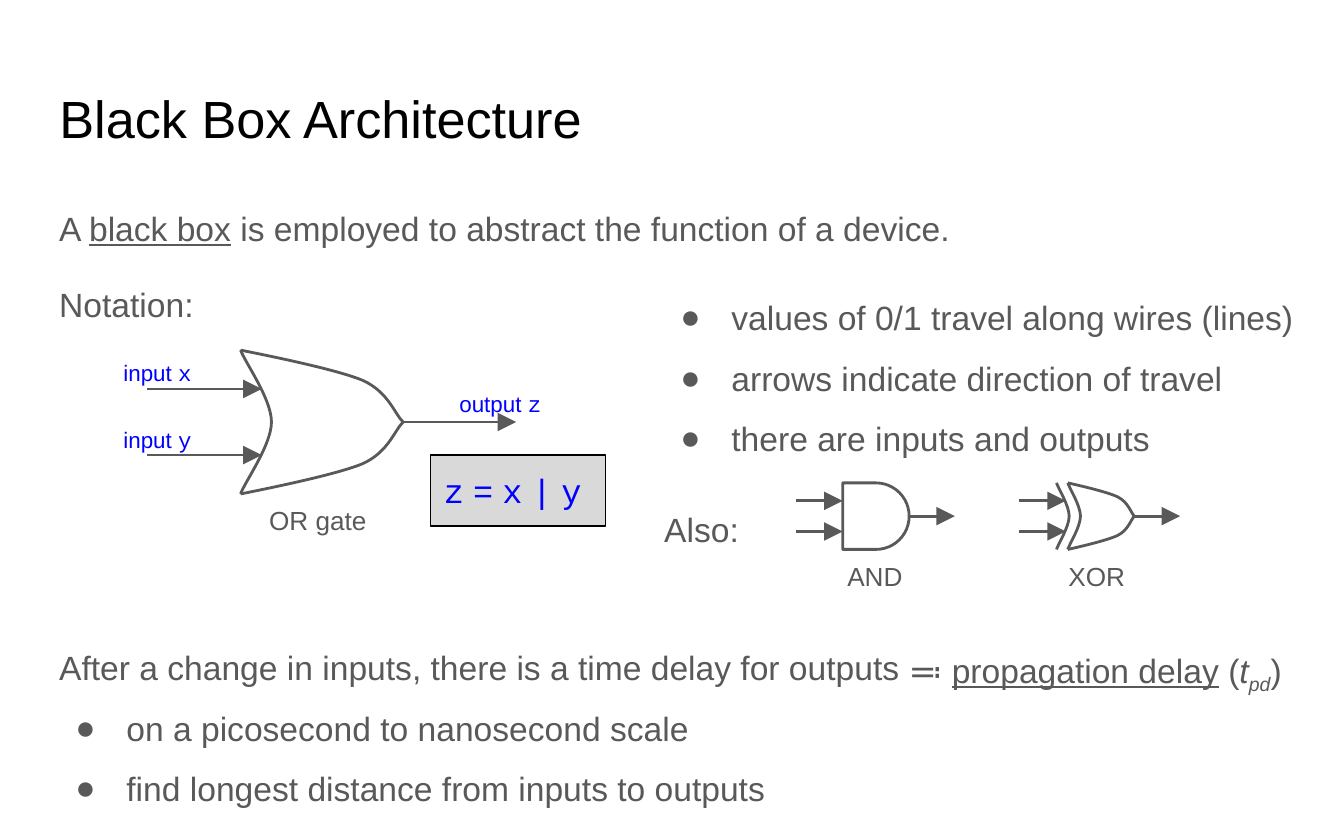
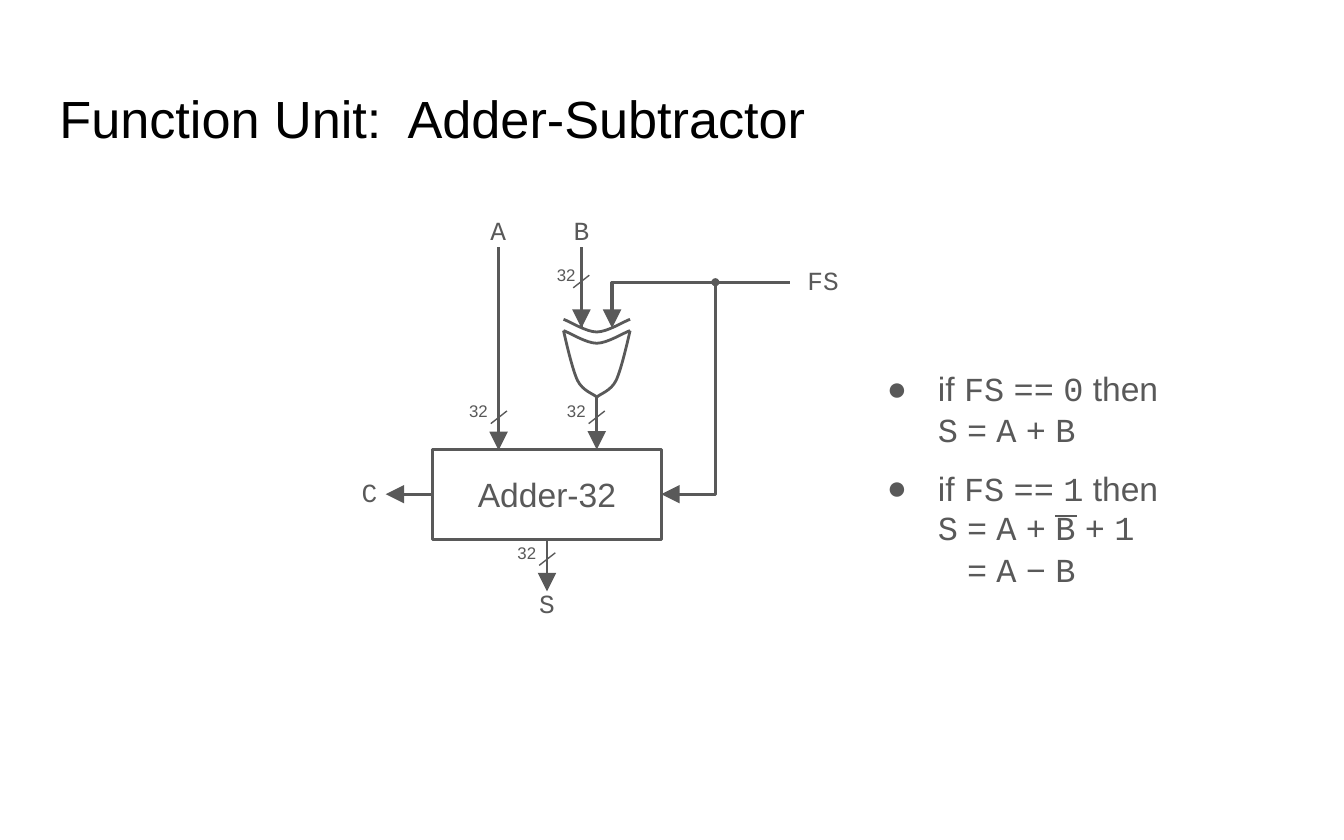
from dataclasses import dataclass
from enum import Enum

import pptx
import pptx.dml.color
import pptx.enum.shapes
import pptx.enum.text
import pptx.oxml
import pptx.oxml.ns
import pptx.util
from lxml import etree

COLUMNS, ROWS = 100, 62.5
CELL = pptx.util.Inches(0.1)
Shapes = pptx.enum.shapes.MSO_SHAPE
Align = pptx.enum.text.PP_ALIGN
Anchor = pptx.enum.text.MSO_ANCHOR
qualified = pptx.oxml.ns.qn
Point = tuple[float, float]


@dataclass(frozen=True)
class Theme:
    ink: str = "595959"
    black: str = "000000"
    blue: str = "0000FF"
    panel: str = "D9D9D9"
    sans: str = "Arial"
    mono: str = "Courier New"
    title: float = 28
    body: float = 18
    caption: float = 14
    pin: float = 12
    bus: float = 9
    stroke: float = 1.5
    thin: float = 0.75


THEME = Theme()


@dataclass(frozen=True)
class Box:
    left: float
    top: float
    width: float
    height: float


@dataclass(frozen=True)
class Span:
    text: str
    mono: bool = False
    underline: bool = False
    italic: bool = False
    subscript: bool = False


@dataclass(frozen=True)
class Para:
    spans: tuple[Span, ...]
    size: float = THEME.body
    color: str = THEME.ink
    align: Align = Align.LEFT
    spacing: float = 1.0
    after: float = 0
    margin: float = 0
    first: float = 0
    bullet: bool = False


class Kind(Enum):
    AND = "AND"
    OR = "OR"
    XOR = "XOR"


@dataclass(frozen=True)
class Gate:
    kind: Kind
    box: Box
    tip: float
    lead_in: float
    lead_out: float
    down: bool = False

    def place(self, along: float, across: float) -> Point:
        box = self.box
        if self.down:
            return box.left + across * box.height, box.top + along * box.width
        return box.left + along * box.width, box.top + across * box.height


@dataclass(frozen=True)
class Bus:
    x: float
    y: float
    offset: float = 3.2


def cells(value: float) -> int:
    return round(value * CELL)


def rgb(color: str) -> pptx.dml.color.RGBColor:
    return pptx.dml.color.RGBColor.from_string(color)


def plain(text: str, **style) -> Para:
    return Para((Span(text),), **style)


def code(text: str) -> tuple[Span, ...]:
    first, *rest = text.split(" ")
    spans = [Span(first, mono=True)]
    for word in rest:
        spans += [Span(" "), Span(word, mono=True)]
    return tuple(spans)


def bullet(*spans: Span, **style) -> Para:
    return Para(spans, margin=5, first=-3.8, bullet=True, **style)


def add_bullet(paragraph) -> None:
    properties = paragraph._p.get_or_add_pPr()
    fill = etree.SubElement(properties, qualified("a:buClr"))
    etree.SubElement(fill, qualified("a:srgbClr"), val=THEME.ink)
    etree.SubElement(properties, qualified("a:buFont"), typeface=THEME.sans)
    etree.SubElement(properties, qualified("a:buChar"), char="●")


def write(frame, paras: tuple[Para, ...], anchor: Anchor = Anchor.TOP) -> None:
    frame.word_wrap = True
    frame.auto_size = pptx.enum.text.MSO_AUTO_SIZE.NONE
    frame.vertical_anchor = anchor
    frame.margin_left = frame.margin_right = CELL
    frame.margin_top = frame.margin_bottom = CELL
    for index, para in enumerate(paras):
        paragraph = frame.add_paragraph() if index else frame.paragraphs[0]
        paragraph.alignment = para.align
        paragraph.line_spacing = para.spacing
        paragraph.space_after = pptx.util.Pt(para.after)
        properties = paragraph._p.get_or_add_pPr()
        properties.set("marL", str(cells(para.margin)))
        properties.set("indent", str(cells(para.first)))
        if para.bullet:
            add_bullet(paragraph)
        paragraph.font.size = pptx.util.Pt(para.size)
        paragraph.font.color.rgb = rgb(para.color)
        mixed = len({span.mono for span in para.spans}) > 1
        if not mixed:
            paragraph.font.name = THEME.mono if para.spans[0].mono else THEME.sans
        for span in para.spans:
            run = paragraph.add_run()
            run.text = span.text
            if mixed:
                run.font.name = THEME.mono if span.mono else THEME.sans
            if span.underline:
                run.font.underline = True
            if span.italic:
                run.font.italic = True
            if span.subscript:
                run._r.get_or_add_rPr().set("baseline", "-25000")


def add_text(page, box: Box, *paras: Para) -> None:
    area = map(cells, (box.left, box.top, box.width, box.height))
    write(page.shapes.add_textbox(*area).text_frame, paras)


def outline(shape, color: str = THEME.ink, width: float = THEME.stroke) -> None:
    shape.shadow.inherit = False
    shape.fill.background()
    shape.line.color.rgb = rgb(color)
    shape.line.width = pptx.util.Pt(width)


def add_shape(page, preset: Shapes, box: Box):
    area = map(cells, (box.left, box.top, box.width, box.height))
    shape = page.shapes.add_shape(preset, *area)
    outline(shape)
    return shape


def add_wire(page, start: Point, end: Point, arrow: bool = True,
             width: float = THEME.stroke) -> None:
    wire = page.shapes.add_connector(
        pptx.enum.shapes.MSO_CONNECTOR.STRAIGHT, *map(cells, start + end))
    wire.line.color.rgb = rgb(THEME.ink)
    wire.line.width = pptx.util.Pt(width)
    properties = wire._element.spPr
    if arrow:
        line = properties.find(qualified("a:ln"))
        etree.SubElement(line, qualified("a:tailEnd"),
                         type="triangle", w="lg", len="lg")
    etree.SubElement(properties, qualified("a:effectLst"))


def add_outline(page, points: list[Point], curved: bool = False) -> None:
    corners = [(cells(x), cells(y)) for x, y in points]
    builder = page.shapes.build_freeform(*corners[0])
    builder.add_line_segments(corners[1:], close=False)
    shape = builder.convert_to_shape()
    outline(shape)
    if curved:
        segments = list(shape._element.iter(qualified("a:lnTo")))
        for index in range(0, len(segments), 3):
            bezier = etree.Element(qualified("a:cubicBezTo"))
            segments[index].addprevious(bezier)
            for segment in segments[index:index + 3]:
                bezier.append(segment[0])
                segment.getparent().remove(segment)


SIDE = ((0, 0), (0.13, 0.03), (0.58, 0.13), (0.75, 0.21),
        (0.91, 0.29), (0.95, 0.45), (1, 0.5))
BACK = ((0, 0), (0.03, 0.09), (0.19, 0.34), (0.19, 0.5),
        (0.19, 0.66), (0.03, 0.91), (0, 1))


def add_gate(page, gate: Gate) -> None:
    if gate.kind is Kind.AND:
        add_shape(page, Shapes.FLOWCHART_DELAY, gate.box)
    else:
        edges = [SIDE, [(u, 1 - v) for u, v in SIDE], BACK]
        if gate.kind is Kind.XOR:
            edges.append([(u - 0.17, v) for u, v in BACK])
        for edge in edges:
            add_outline(page, [gate.place(u, v) for u, v in edge], curved=True)
    unit = gate.box.width
    for across in (0.27, 0.73):
        add_wire(page, gate.place(gate.tip - gate.lead_in / unit, across),
                 gate.place(gate.tip, across))
    add_wire(page, gate.place(1, 0.5), gate.place(1 + gate.lead_out / unit, 0.5))


def add_bus(page, bus: Bus) -> None:
    add_wire(page, (bus.x + 0.6, bus.y - 0.47), (bus.x - 0.6, bus.y + 0.47),
             arrow=False, width=THEME.thin)
    add_text(page, Box(bus.x - bus.offset, bus.y - 2.25, 4.1, 2.8),
             plain("32", size=THEME.bus))


def add_page(deck, title: str):
    page = deck.slides.add_slide(deck.slide_layouts[6])
    add_text(page, Box(3.44, 5.4, 93.2, 7),
             plain(title, size=THEME.title, color=THEME.black))
    return page


def black_box_page(deck) -> None:
    page = add_page(deck, "Black Box Architecture")
    add_text(page, Box(3.42, 14, 93.2, 41.5),
             Para((Span("A "), Span("black box", underline=True),
                   Span(" is employed to abstract the function of a device.")),
                  spacing=1.15, after=16),
             plain("Notation:", spacing=1.15, after=16))
    add_gate(page, Gate(Kind.OR, Box(17.9, 26.05, 12.1, 10.7), 0.13, 8.5, 8.4))
    for left, top, word, name in ((8.2, 25.7, "input ", "x"),
                                  (8.2, 30.7, "input ", "y"),
                                  (33.2, 28, "output ", "z")):
        add_text(page, Box(left, top, 10, 2.5),
                 Para((Span(word), Span(name, mono=True)),
                      size=THEME.pin, color=THEME.blue))
    formula = add_shape(page, Shapes.RECTANGLE, Box(32.05, 33.85, 13, 5.3))
    outline(formula, THEME.black, THEME.thin)
    formula.fill.solid()
    formula.fill.fore_color.rgb = rgb(THEME.panel)
    write(formula.text_frame,
          (Para((Span("z", mono=True), Span(" = "), *code("x | y")),
                color=THEME.blue),), Anchor.MIDDLE)

    add_text(page, Box(48.44, 19.6, 49.6, 21.9),
             bullet(Span("values of 0/1 travel along wires (lines)"), spacing=1.5),
             bullet(Span("arrows indicate direction of travel"), spacing=1.5),
             bullet(Span("there are inputs and outputs"), spacing=1.5, after=16))
    add_text(page, Box(48.44, 35.4, 20.4, 6.2), plain("Also:", spacing=1.5, after=16))
    for kind, left, tip in ((Kind.AND, 62.7, 0), (Kind.XOR, 79.45, -0.03)):
        add_gate(page, Gate(kind, Box(left, 35.93, 4.95, 4.95), tip, 3.45, 3.4))
    for text, left, top in (("OR gate", 15.2, 36.5), ("AND", 56.65, 40.7),
                            ("XOR", 73.15, 40.7)):
        add_text(page, Box(left, top, 16.9, 3.4),
                 plain(text, size=THEME.caption, align=Align.CENTER))

    add_text(page, Box(3.42, 45.65, 93.2, 9.3),
             plain("After a change in inputs, there is a time delay for outputs",
                   spacing=1.5))
    add_text(page, Box(66.64, 45.65, 32.9, 8.7),
             Para((Span("≕ "), Span("propagation delay", underline=True), Span(" ("),
                   Span("t", italic=True), Span("pd", italic=True, subscript=True),
                   Span(")")), spacing=1.5, first=-0.8))
    add_text(page, Box(3.42, 50.15, 93.2, 9.3),
             bullet(Span("on a picosecond to nanosecond scale"), spacing=1.5),
             bullet(Span("find longest distance from inputs to outputs"),
                    spacing=1.5, after=16))


def adder_page(deck) -> None:
    page = add_page(deck, "Function Unit:  Adder-Subtractor")
    adder = add_shape(page, Shapes.RECTANGLE, Box(32.2, 33.43, 17, 6.7))
    write(adder.text_frame, (plain("Adder-32", align=Align.CENTER),), Anchor.MIDDLE)
    add_gate(page, Gate(Kind.XOR, Box(41.93, 24.6, 4.95, 4.95), -0.04, 3.5, 3.9, down=True))
    add_wire(page, (37.1, 18.4), (37.1, 30.2), arrow=False)
    add_wire(page, (37.1, 29.6), (37.1, 33.5))
    add_wire(page, (43.25, 18.4), (43.25, 24.4), arrow=False)
    add_wire(page, (40.7, 40.1), (40.7, 44))
    add_wire(page, (32.1, 36.77), (28.7, 36.77))
    add_wire(page, (52.7, 36.77), (49.2, 36.77))
    add_outline(page, [(45.5, 23.1), (45.5, 21), (58.8, 21)])
    add_outline(page, [(51.1, 36.77), (53.23, 36.77), (53.23, 21)])
    junction = add_shape(page, Shapes.OVAL, Box(52.93, 20.7, 0.6, 0.6))
    junction.fill.solid()
    junction.fill.fore_color.rgb = rgb(THEME.ink)
    junction.line.fill.background()
    for bus in (Bus(37.12, 31.05), Bus(44.4, 31.05), Bus(40.72, 41.6),
                Bus(43.25, 20.95, 2.8)):
        add_bus(page, bus)
    for name, left, top in (("A", 35.5, 14.93), ("B", 41.7, 14.93), ("S", 39.13, 42.7),
                            ("C", 25.93, 34.43), ("FS", 59.1, 18.7)):
        add_text(page, Box(left, top, 5.6, 3.3), Para(code(name), size=THEME.caption))

    def case(value: int) -> Para:
        return bullet(Span("if "), *code(f"FS == {value}"), Span(" then"))

    def total(terms: str, after: float = 0) -> Para:
        return Para((Span("S", mono=True), Span(" = "), *code(terms)),
                    margin=5, after=after)

    add_text(page, Box(63.8, 26.4, 28.5, 28.8), case(0), total("A + B", after=10), case(1))
    add_wire(page, (78.5, 38.4), (80.1, 38.4), arrow=False, width=THEME.thin)
    add_text(page, Box(63.8, 39.82, 28.5, 28.8),
             Para((Span("= "), *code("A − B")), margin=7.2))
    add_text(page, Box(63.8, 36.7, 28.5, 28.8), total("A + B + 1"))


deck = pptx.Presentation()
deck.slide_width, deck.slide_height = cells(COLUMNS), cells(ROWS)
black_box_page(deck)
adder_page(deck)
deck.save("out.pptx")
